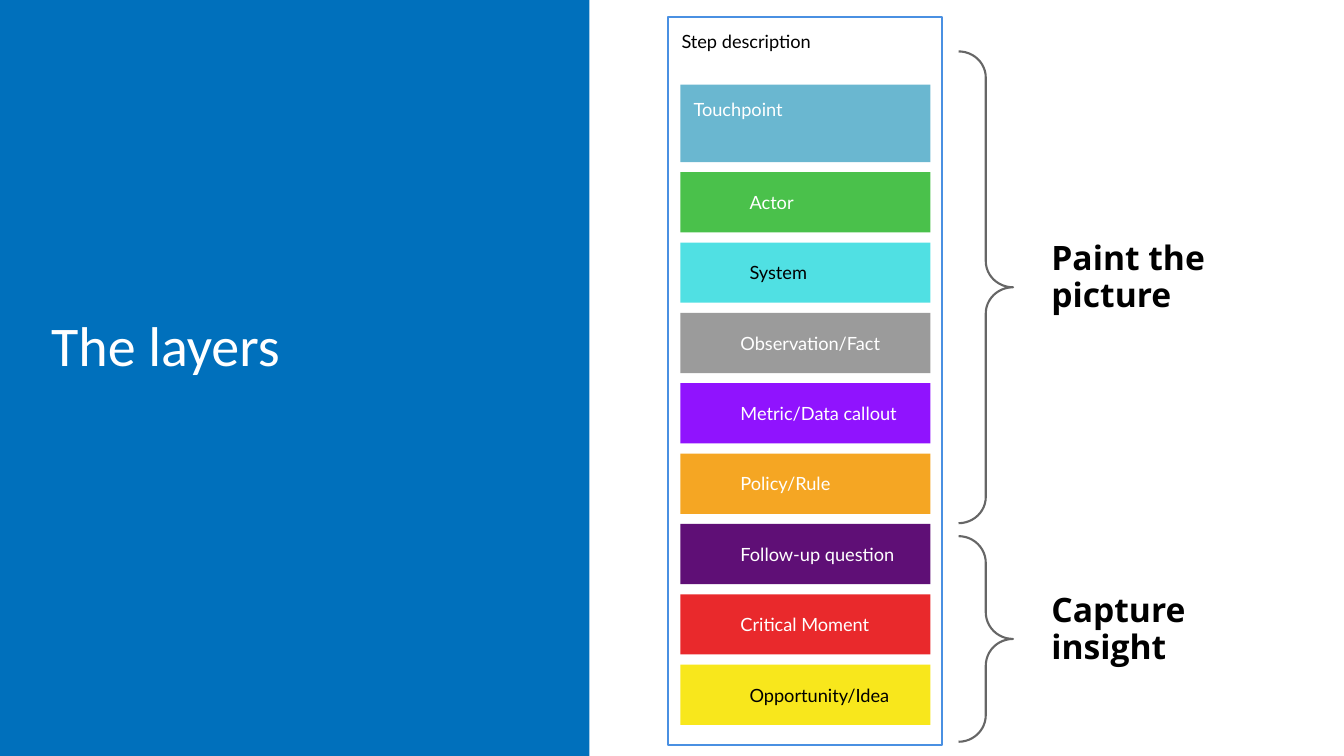
from dataclasses import dataclass

from pptx import Presentation
from pptx.dml.color import RGBColor
from pptx.enum.shapes import MSO_SHAPE as SHAPE
from pptx.enum.text import MSO_ANCHOR as ANCHOR, MSO_AUTO_SIZE as AUTO, PP_ALIGN as ALIGN
from pptx.util import Pt


@dataclass(frozen=True)
class Theme:
    blue: str = "0070BC"
    frame: str = "4A90E2"
    brace: str = "666666"
    white: str = "FFFFFF"
    black: str = "000000"
    title_font: str = "Calibri"
    layer_font: str = "Lato"
    group_font: str = "Open Sans"
    title_size: float = 40
    layer_size: float = 13
    group_size: float = 24
    line_width: float = 1.5
    inset: float = 9.4


class Deck:
    def __init__(self, prs, theme):
        self.theme = theme
        self.slide = prs.slides.add_slide(prs.slide_layouts[5])

    def set_text(self, sp, text, font, size, color, inset, anchor=ANCHOR.TOP, bold=False):
        tf = sp.text_frame
        tf.text = text
        tf.word_wrap = True
        tf.auto_size = AUTO.NONE
        tf.vertical_anchor = anchor
        tf.margin_left = tf.margin_right = tf.margin_top = tf.margin_bottom = Pt(inset)
        p = tf.paragraphs[0]
        p.alignment = ALIGN.LEFT
        f = p.runs[0].font
        f.name, f.size, f.bold = font, Pt(size), bold
        f.color.rgb = RGBColor.from_string(color)
        return p

    def shape(self, kind, box, fill=None, line=None):
        sp = self.slide.shapes.add_shape(kind, *map(Pt, box))
        sp.shadow.inherit = False
        if fill:
            sp.fill.solid()
            sp.fill.fore_color.rgb = RGBColor.from_string(fill)
        else:
            sp.fill.background()
        if line:
            sp.line.color.rgb = RGBColor.from_string(line)
            sp.line.width = Pt(self.theme.line_width)
        else:
            sp.line.fill.background()
        return sp

    def title(self, text, box):
        t, sp = self.theme, self.slide.shapes.title
        sp.left, sp.top, sp.width, sp.height = map(Pt, box)
        self.set_text(sp, text, t.title_font, t.title_size, t.white, 3.6)

    def layer(self, text, box, fill, color, line=None, indent=0, anchor=ANCHOR.TOP):
        t = self.theme
        sp = self.shape(SHAPE.RECTANGLE, box, fill, line)
        p = self.set_text(sp, text, t.layer_font, t.layer_size, color, t.inset, anchor)
        if indent:
            p._p.get_or_add_pPr().set("indent", str(Pt(indent)))

    def brace(self, box, curve):
        sp = self.shape(SHAPE.RIGHT_BRACE, box, line=self.theme.brace)
        sp.adjustments[0] = curve

    def group_label(self, text, box):
        t = self.theme
        sp = self.slide.shapes.add_textbox(*map(Pt, box))
        p = self.set_text(sp, text, t.group_font, t.group_size, t.black, t.inset, bold=True)
        p.line_spacing = 0.9


def main():
    prs = Presentation()
    prs.slide_width, prs.slide_height = Pt(960), Pt(540)
    t = Theme()
    s = Deck(prs, t)

    # Title panel, kept behind the title
    panel = s.shape(SHAPE.RECTANGLE, (0, 0, 421, 540), t.blue)
    s.slide.shapes.title._element.addprevious(panel._element)
    s.title("The layers", (33, 218, 338, 132.5))

    # Step card with its touchpoint
    s.layer("Step description", (477.4, 12.2, 195.8, 519.8), t.white, t.black, t.frame)
    left, width = 486, 178.6
    s.layer("Touchpoint", (left, 60.5, width, 55.4), "6AB7D0", t.white)

    # Evenly spaced layers: text, fill, text colour, first-line indent
    layers = [
        ("Actor", "4AC14B", t.white, 40),
        ("System", "50E0E3", t.black, 40),
        ("Observation/Fact", "9B9B9B", t.white, 33.5),
        ("Metric/Data callout", "9013FE", t.white, 33.5),
        ("Policy/Rule", "F5A623", t.white, 33.5),
        ("Follow-up question", "5F0F76", t.white, 33.5),
        ("Critical Moment", "E9292C", t.white, 33.5),
        ("Opportunity/Idea", "F8E71C", t.black, 40),
    ]
    for i, (text, fill, color, indent) in enumerate(layers):
        box = (left, 123 + 50.25 * i, width, 43)
        s.layer(text, box, fill, color, indent=indent, anchor=ANCHOR.MIDDLE)

    # Braces and what they group: text, brace top, height, curve, label top
    groups = [
        ("Paint the picture", 36.7, 337, 0.48, 163.4),
        ("Capture insight", 383, 146.9, 0.49, 414.7),
    ]
    for text, top, height, curve, label_top in groups:
        s.brace((684.7, top, 38.9, height), curve)
        s.group_label(text, (741.6, label_top, 137.5, 98.6))

    prs.save("out.pptx")


if __name__ == "__main__":
    main()
